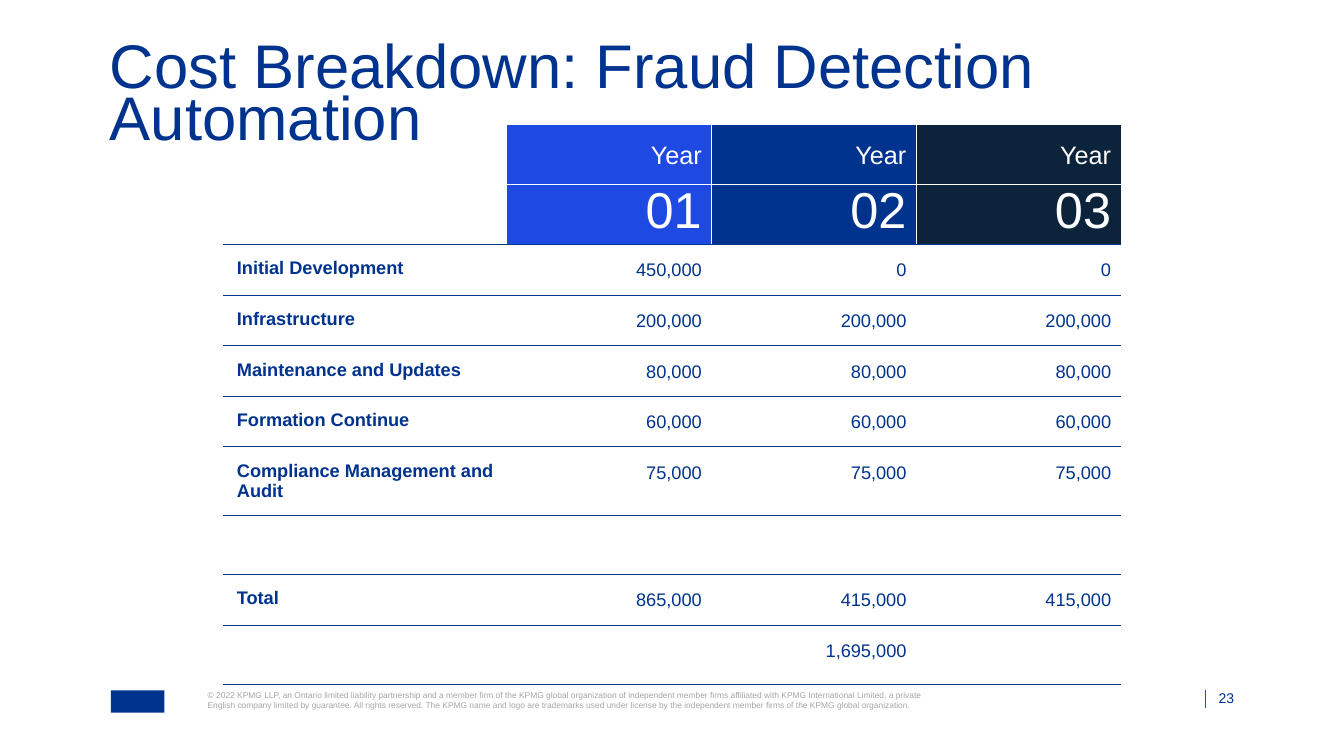
from lxml import etree
from pptx import Presentation
from pptx import util as u
from pptx.dml.color import RGBColor
from pptx.enum import shapes, text
from pptx.oxml.ns import qn

NAVY, BLUE, DARK, WHITE, GREY = "00338D", "1E49E2", "0C233C", "FFFFFF", "A6A6A6"
RIGHT, LEFT = text.PP_ALIGN.RIGHT, text.PP_ALIGN.LEFT
YEAR_COLOURS = [BLUE, NAVY, DARK]
COL_WIDTHS = [2.82, 2.03, 2.03, 2.03]
ROW_HEIGHTS = [0.58, 0.59, 0.5, 0.5, 0.5, 0.5, 0.67, 0.49, 0.5, 0.5]
ROWS = [
    ["", "Year", "Year", "Year"],
    ["", "01", "02", "03"],
    ["Initial Development", "450,000", "0", "0"],
    ["Infrastructure", "200,000", "200,000", "200,000"],
    ["Maintenance and Updates", "80,000", "80,000", "80,000"],
    ["Formation Continue", "60,000", "60,000", "60,000"],
    ["Compliance Management and Audit", "75,000", "75,000", "75,000"],
    ["", "", "", ""],
    ["Total", "865,000", "415,000", "415,000"],
    ["", "", "1,695,000", ""],
]
COPYRIGHT = (
    "© 2022 KPMG LLP, an Ontario limited liability partnership and a member firm of the "
    "KPMG global organization of independent member firms affiliated with KPMG International "
    "Limited, a private English company limited by guarantee. All rights reserved. The KPMG "
    "name and logo are trademarks used under license by the independent member firms of the "
    "KPMG global organization."
)


def rgb(colour):
    return RGBColor.from_string(colour)


def write(tf, words, size, colour=NAVY, bold=False, align=LEFT, spacing=1.0):
    p = tf.paragraphs[0]
    p.alignment = align
    p.line_spacing = spacing
    r = p.add_run()
    r.text = words
    r.font.name = "Arial"
    r.font.size = u.Pt(size)
    r.font.bold = bold
    r.font.color.rgb = rgb(colour)


def prepare_frame(tf, anchor=text.MSO_ANCHOR.TOP):
    """Remove insets, wrap the text and fix its anchor."""
    tf.word_wrap = True
    tf.auto_size = text.MSO_AUTO_SIZE.NONE
    tf.vertical_anchor = anchor
    tf.margin_left = tf.margin_right = tf.margin_top = tf.margin_bottom = 0


def add_text(slide, box, words, size, anchor=text.MSO_ANCHOR.TOP, **style):
    sp = slide.shapes.add_textbox(*map(u.Inches, box))
    prepare_frame(sp.text_frame, anchor)
    write(sp.text_frame, words, size, **style)


def add_title(slide, words):
    sp = slide.shapes.title
    sp.left, sp.top, sp.width, sp.height = map(u.Inches, (1.09, 0.47, 11.16, 0.58))
    prepare_frame(sp.text_frame)
    write(sp.text_frame, words, 44, spacing=0.7)


def set_borders(cell, **colours):
    """Draw the edges named L, R, T or B and clear the others."""
    tc_pr = cell._tc.get_or_add_tcPr()
    for i, edge in enumerate("LRTB"):
        colour = colours.get(edge)
        ln = etree.Element(qn(f"a:ln{edge}"), w=str(u.Pt(0.5)))
        if colour:
            fill = etree.SubElement(ln, qn("a:solidFill"))
            etree.SubElement(fill, qn("a:srgbClr"), val=colour)
        else:
            etree.SubElement(ln, qn("a:noFill"))
        tc_pr.insert(i, ln)


def cell_borders(row, col):
    if row >= 2:
        return {"T": NAVY, "B": NAVY}
    edges = {"B": NAVY} if row == 1 else {}
    if col > 0:
        edges["R"] = WHITE
        edges["T" if row == 1 else "B"] = WHITE
    if col > 1:
        edges["L"] = WHITE
    return edges


def format_cell(cell, row, col, words):
    side, end = (0.14 if col == 0 else 0.1), (0.06 if row == 1 else 0.14)
    cell.margin_left = cell.margin_right = u.Inches(side)
    cell.margin_top = cell.margin_bottom = u.Inches(end)
    if row < 2 and col > 0:
        cell.fill.solid()
        cell.fill.fore_color.rgb = rgb(YEAR_COLOURS[col - 1])
    else:
        cell.fill.background()
    set_borders(cell, **cell_borders(row, col))
    if not words:
        return
    if col == 0:
        write(cell.text_frame, words, 13, bold=True)
    elif row < 2:
        size, spacing = [(18, 1.1), (36, 0.85)][row]
        write(cell.text_frame, words, size, WHITE, align=RIGHT, spacing=spacing)
    else:
        write(cell.text_frame, words, 13, align=RIGHT, spacing=1.1)


def add_cost_table(slide):
    box = (2.21, 1.24, sum(COL_WIDTHS), sum(ROW_HEIGHTS))
    table = slide.shapes.add_table(len(ROWS), len(COL_WIDTHS), *map(u.Inches, box)).table
    table.first_row = table.horz_banding = False
    for column, width in zip(table.columns, COL_WIDTHS):
        column.width = u.Inches(width)
    for row, height in zip(table.rows, ROW_HEIGHTS):
        row.height = u.Inches(height)
    for i, values in enumerate(ROWS):
        for j, words in enumerate(values):
            format_cell(table.cell(i, j), i, j, words)


def add_line(slide, x1, y1, x2, y2, colour):
    line = slide.shapes.add_connector(
        shapes.MSO_CONNECTOR.STRAIGHT, *map(u.Inches, (x1, y1, x2, y2)))
    line.line.color.rgb = rgb(colour)
    line.line.width = u.Pt(0.5)
    etree.SubElement(line._element.spPr, qn("a:effectLst"))


def add_block(slide, box, colour):
    sp = slide.shapes.add_shape(shapes.MSO_SHAPE.RECTANGLE, *map(u.Inches, box))
    sp.shadow.inherit = False
    sp.fill.solid()
    sp.fill.fore_color.rgb = rgb(colour)
    sp.line.fill.background()


def add_footer(slide):
    add_block(slide, (1.1, 6.85, 0.53, 0.22), NAVY)
    add_text(slide, (2.06, 6.85, 7.17, 0.2), COPYRIGHT, 6, colour=GREY)
    add_line(slide, 11.95, 6.85, 11.95, 7.02, BLUE)
    add_text(slide, (11.97, 6.85, 0.27, 0.16), "23", 10,
             anchor=text.MSO_ANCHOR.BOTTOM, align=RIGHT)


def main():
    prs = Presentation()
    prs.slide_width, prs.slide_height = u.Inches(13.33), u.Inches(7.5)
    slide = prs.slides.add_slide(prs.slide_layouts[5])
    add_footer(slide)
    add_title(slide, "Cost Breakdown: Fraud Detection Automation")
    add_cost_table(slide)
    prs.save("out.pptx")


if __name__ == "__main__":
    main()
